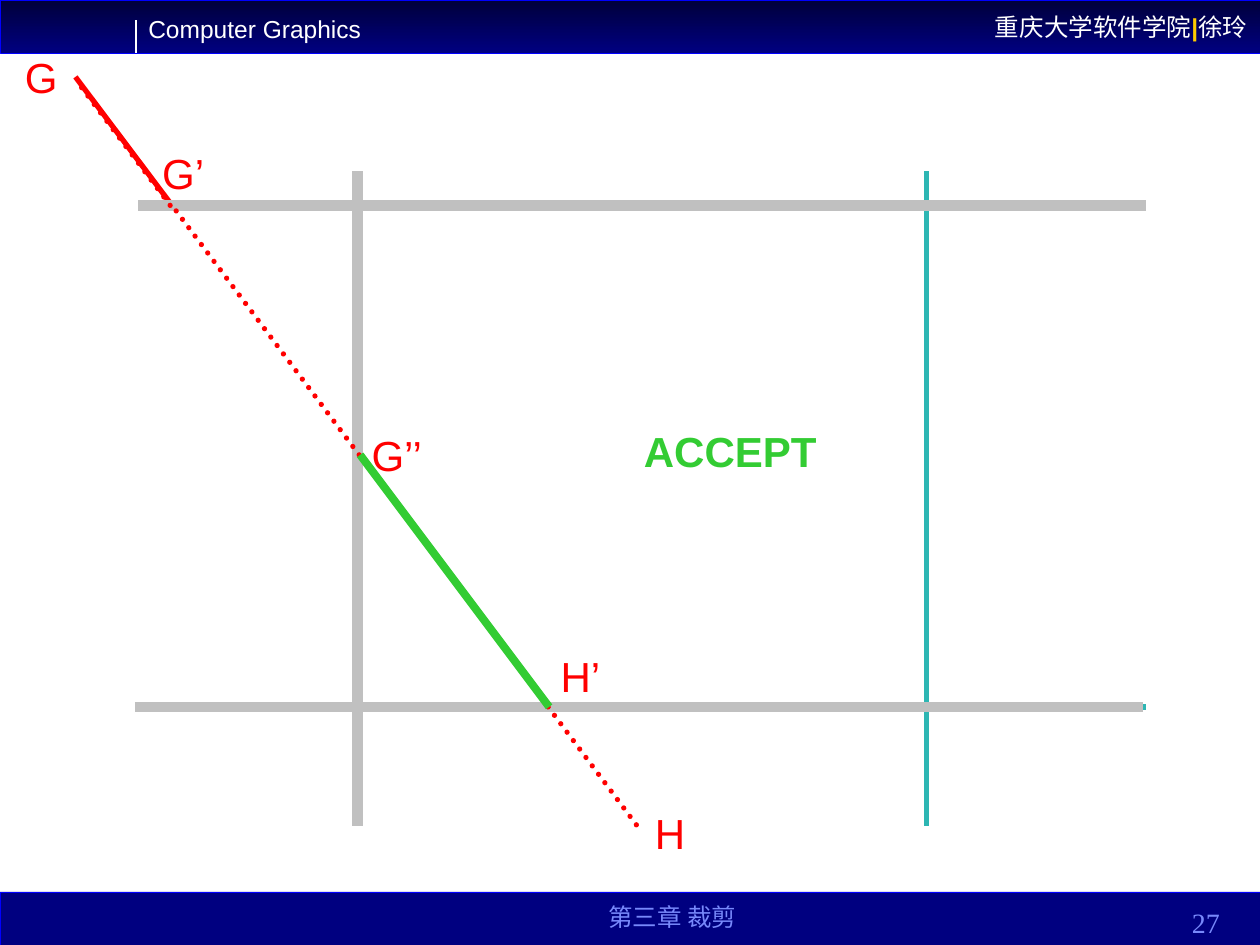
from dataclasses import dataclass

from lxml.etree import SubElement
from pptx import Presentation
from pptx.dml.color import RGBColor
from pptx.enum.dml import MSO_LINE
from pptx.enum.shapes import MSO_CONNECTOR, MSO_SHAPE
from pptx.enum.text import MSO_ANCHOR, PP_ALIGN
from pptx.oxml.ns import qn
from pptx.util import Cm, Pt

COLORS = {
    "night": "00003B", "navy": "000080", "edge": "0000FF",
    "white": "FFFFFF", "gold": "FFCC00", "foot": "7889FB",
    "teal": "2DB6B3", "gray": "C0C0C0", "red": "FF0000", "green": "33CC33",
}
WIDE, HIGH, BAR = 25.4, 19.05, 1.07

# Clip window edges and the span of the lines that extend them
LEFT, RIGHT, TOP, BASE = 7.24, 18.67, 4.09, 14.25
WEST, EAST, NORTH, SOUTH = 2.79, 23.11, 3.45, 16.66
# Points along the clipped segment
G, G1, G2 = (1.52, 1.55), (3.43, TOP), (LEFT, 9.17)
H1, H = (11.05, BASE), (12.95, 16.79)


@dataclass
class Line:
    start: tuple[float, float]
    end: tuple[float, float]
    color: str
    width: float = 3
    dots: bool = False


@dataclass
class Label:
    text: str
    left: float
    top: float
    width: float
    height: float = 1.27
    color: str = "red"
    size: float = 24
    bold: bool = False
    font: str = "Arial"
    align: PP_ALIGN = PP_ALIGN.LEFT
    anchor: MSO_ANCHOR = MSO_ANCHOR.TOP
    wrap: bool = True


LINES = [
    Line((LEFT, NORTH), (LEFT, SOUTH), "teal"),
    Line((RIGHT, NORTH), (RIGHT, SOUTH), "teal"),
    Line((WEST, TOP), (EAST, TOP), "teal"),
    Line((WEST, BASE), (EAST, BASE), "teal"),
    Line(G1, G, "red"),
    Line((WEST, 4.14), (EAST, 4.14), "gray", 6),
    Line((7.21, NORTH), (7.21, SOUTH), "gray", 6),
    Line(G2, G1, "red", dots=True),
    Line((2.72, BASE), (23.04, BASE), "gray", 6),
    Line((G1[0], 4.14), (G[0], 1.6), "red", dots=True),
    Line(H1, H, "red", dots=True),
    Line((11.07, BASE), (7.26, 9.17), "green", 4.5),
    Line((2.74, 0.41), (2.74, BAR), "white", 0.75),
]
LABELS = [
    Label("Computer Graphics", 2.74, 0.15, 4.8, 0.86, "white", 14, wrap=False),
    Label("第三章 裁剪", 9.53, 17.93, 8.05, 0.97, "foot", 14,
          font="Times New Roman", align=PP_ALIGN.CENTER, anchor=MSO_ANCHOR.BOTTOM),
    Label("27", 22.3, 18.08, 2.54, 0.97, "foot", 16,
          font="Times New Roman", align=PP_ALIGN.RIGHT, anchor=MSO_ANCHOR.BOTTOM),
    Label("G", 0.25, 0.91, 1.27),
    Label("H", 12.95, 16.15, 1.27),
    Label("H’", 11.05, 12.98, 1.91),
    Label("G’’", 7.24, 8.53, 1.91),
    Label("G’", 3.02, 2.84, 1.91),
    Label("ACCEPT", 12.73, 8.46, 4.01, color="green", bold=True),
]


def tint(name: str) -> RGBColor:
    return RGBColor.from_string(COLORS[name])


def add_bar(shapes, top: float):
    bar = shapes.add_shape(MSO_SHAPE.RECTANGLE, 0, Cm(top), Cm(WIDE), Cm(BAR))
    bar.shadow.inherit = False
    bar.fill.solid()
    bar.fill.fore_color.rgb = tint("navy")
    bar.line.color.rgb = tint("edge")
    bar.line.width = Pt(0.25)
    return bar


def add_head(shapes) -> None:
    """Draw the top bar with its gradient and the school and author names."""
    bar = add_bar(shapes, 0)
    bar.fill.gradient()
    bar.fill.gradient_angle = 270
    for stop, name, place in zip(bar.fill.gradient_stops, ("night", "navy"), (0, 1)):
        stop.color.rgb = tint(name)
        stop.position = place
    bar.text_frame.vertical_anchor = MSO_ANCHOR.MIDDLE
    para = bar.text_frame.paragraphs[0]
    para.alignment = PP_ALIGN.RIGHT
    para.font.size = Pt(14)
    para.font.name = "Arial"
    for text, name in (("重庆大学软件学院", "white"), ("|", "gold"), ("徐玲", "white")):
        run = para.add_run()
        run.text = text
        run.font.color.rgb = tint(name)
        run.font.bold = name == "gold"


def add_line(shapes, item: Line) -> None:
    ends = [Cm(num) for num in (*item.start, *item.end)]
    line = shapes.add_connector(MSO_CONNECTOR.STRAIGHT, *ends)
    line.line.color.rgb = tint(item.color)
    line.line.width = Pt(item.width)
    if item.dots:
        line.line.dash_style = MSO_LINE.ROUND_DOT
        line.line._ln.set("cap", "rnd")
    SubElement(line._element.spPr, qn("a:effectLst"))


def add_label(shapes, item: Label) -> None:
    place = [Cm(num) for num in (item.left, item.top, item.width, item.height)]
    frame = shapes.add_textbox(*place).text_frame
    frame.word_wrap = item.wrap
    frame.vertical_anchor = item.anchor
    para = frame.paragraphs[0]
    para.text = item.text
    para.alignment = item.align
    font = para.font
    font.name, font.size, font.bold = item.font, Pt(item.size), item.bold
    font.color.rgb = tint(item.color)


def main() -> None:
    deck = Presentation()
    deck.slide_width, deck.slide_height = Cm(WIDE), Cm(HIGH)
    shapes = deck.slides.add_slide(deck.slide_layouts[6]).shapes
    add_head(shapes)
    add_bar(shapes, HIGH - BAR)
    for line in LINES:
        add_line(shapes, line)
    for label in LABELS:
        add_label(shapes, label)
    deck.save("out.pptx")


if __name__ == "__main__":
    main()
